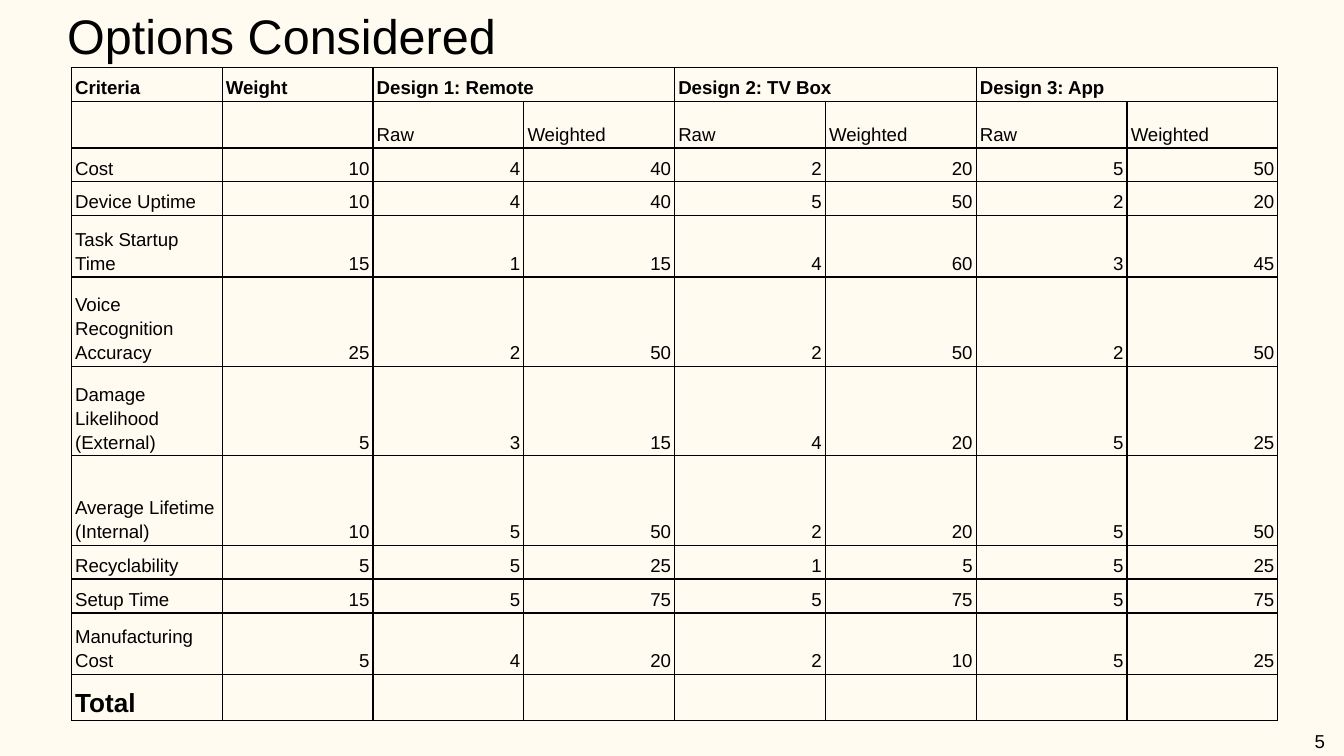
import pptx
import pptx.util
import pptx.dml.color
import pptx.enum.text
import pptx.oxml
import pptx.oxml.ns

Cm, Pt = pptx.util.Cm, pptx.util.Pt
ALIGN, ANCHOR = pptx.enum.text.PP_ALIGN, pptx.enum.text.MSO_ANCHOR
COLORS = {"background": "FFFBF0", "ink": "000000"}
FONT = "Arial"

DESIGNS = ["Design 1: Remote", "Design 2: TV Box", "Design 3: App"]
# Criterion, weight, raw score of each design, row height in cm
CRITERIA = [
    ("Cost", 10, (4, 2, 5), 0.64),
    ("Device Uptime", 10, (4, 5, 2), 0.64),
    ("Task Startup Time", 15, (1, 4, 3), 1.16),
    ("Voice Recognition Accuracy", 25, (2, 2, 2), 1.69),
    ("Damage Likelihood (External)", 5, (3, 4, 5), 1.69),
    ("Average Lifetime (Internal)", 10, (5, 2, 5), 1.69),
    ("Recyclability", 5, (5, 1, 5), 0.64),
    ("Setup Time", 15, (5, 5, 5), 0.64),
    ("Manufacturing Cost", 5, (4, 2, 5), 1.16),
]
HEADER_H, SUBHEADER_H, TOTAL_H = 0.64, 0.81, 0.82


def rgb(name):
    return pptx.dml.color.RGBColor.from_string(COLORS[name])


def style_paragraph(p, size, bold=False, align=ALIGN.LEFT):
    p.alignment = align
    p.font.name, p.font.size, p.font.bold = FONT, Pt(size), bold
    p.font.color.rgb = rgb("ink")


def add_text(slide, box, text, size, align=ALIGN.LEFT, anchor=ANCHOR.TOP):
    tf = slide.shapes.add_textbox(*map(Cm, box)).text_frame
    tf.word_wrap = True
    tf.vertical_anchor = anchor
    tf.margin_left = tf.margin_right = tf.margin_top = tf.margin_bottom = Cm(0.25)
    p = tf.paragraphs[0]
    p.text = text
    style_paragraph(p, size, align=align)


def style_cell(cell):
    cell.vertical_anchor = ANCHOR.BOTTOM
    cell.margin_left = cell.margin_right = Cm(0.07)
    cell.margin_top = cell.margin_bottom = Cm(0.05)
    tc_pr = cell._tc.get_or_add_tcPr()
    for side in ("lnL", "lnR", "lnT", "lnB"):
        tc_pr.append(pptx.oxml.parse_xml(
            f'<a:{side} {pptx.oxml.ns.nsdecls("a")} w="{Pt(0.75)}"><a:solidFill>'
            f'<a:srgbClr val="{COLORS["ink"]}"/></a:solidFill></a:{side}>'))
    cell.fill.background()


def fill_cell(cell, value, size=10, bold=False):
    p = cell.text_frame.paragraphs[0]
    p.text = str(value)
    p.line_spacing = 1.15
    style_paragraph(p, size, bold, ALIGN.RIGHT if isinstance(value, int) else ALIGN.LEFT)


def add_score_table(slide, box):
    heights = [HEADER_H, SUBHEADER_H, *(c[3] for c in CRITERIA), TOTAL_H]
    n_cols = 2 + 2 * len(DESIGNS)
    table = slide.shapes.add_table(len(heights), n_cols, *map(Cm, box)).table
    table.first_row = table.horz_banding = False
    for col in table.columns:
        col.width = Cm(box[2] / n_cols)
    for row, height in zip(table.rows, heights):
        row.height = Cm(height)
    for cell in table.iter_cells():
        style_cell(cell)

    # Headings: each design spans a raw and a weighted column
    for c, heading in enumerate(["Criteria", "Weight"]):
        fill_cell(table.cell(0, c), heading, bold=True)
    for d, design in enumerate(DESIGNS):
        c = 2 + 2 * d
        table.cell(0, c).merge(table.cell(0, c + 1))
        fill_cell(table.cell(0, c), design, bold=True)
        fill_cell(table.cell(1, c), "Raw")
        fill_cell(table.cell(1, c + 1), "Weighted")

    # Scores: weighted = weight x raw
    for r, (name, weight, scores, _) in enumerate(CRITERIA, start=2):
        values = [name, weight]
        for raw in scores:
            values += [raw, weight * raw]
        for c, value in enumerate(values):
            fill_cell(table.cell(r, c), value)
    fill_cell(table.cell(len(heights) - 1, 0), "Total", size=14, bold=True)


def main():
    prs = pptx.Presentation()
    prs.slide_width, prs.slide_height = Cm(25.4), Cm(14.29)
    slide = prs.slides.add_slide(prs.slide_layouts[6])
    slide.background.fill.solid()
    slide.background.fill.fore_color.rgb = rgb("background")

    add_score_table(slide, (1.35, 1.28, 22.8, 12.22))
    # Title and page number
    add_text(slide, (1.02, -0.13, 9.4, 1.63), "Options Considered", 26)
    add_text(slide, (23.77, 13.46, 1.52, 1.09), "5", 10, ALIGN.RIGHT, ANCHOR.MIDDLE)
    prs.save("out.pptx")


if __name__ == "__main__":
    main()
